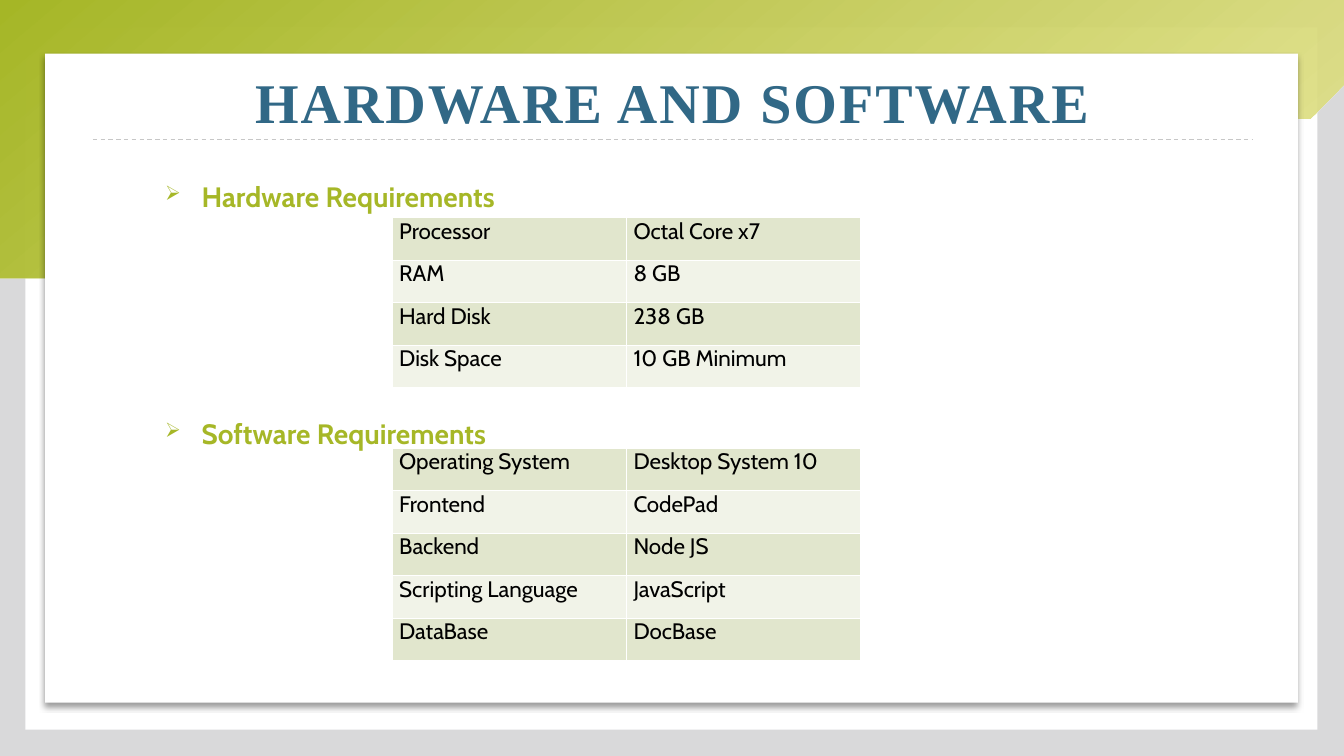
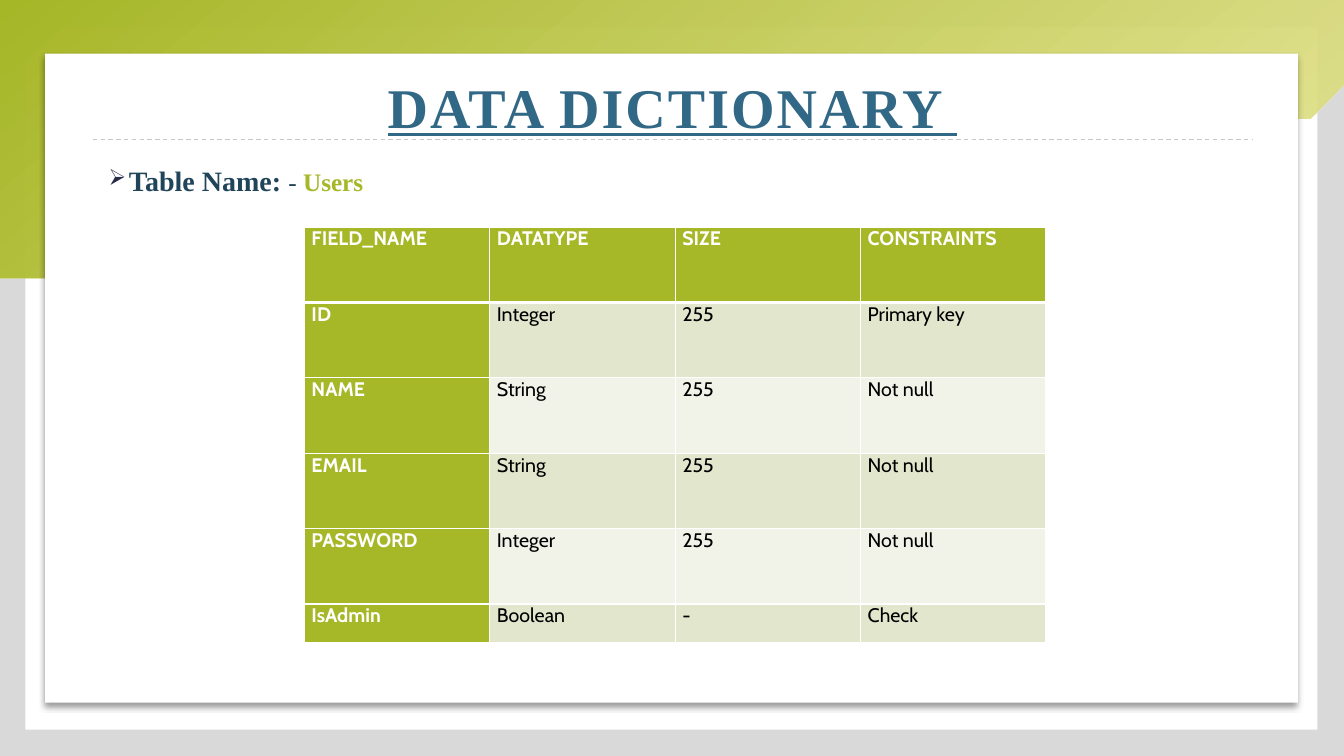
"""Build two project slides: system requirements and a data dictionary."""
from dataclasses import dataclass

from lxml.etree import SubElement
from pptx import Presentation
from pptx.dml.color import RGBColor
from pptx.enum.dml import MSO_LINE
from pptx.enum.shapes import MSO_CONNECTOR, MSO_SHAPE
from pptx.enum.text import MSO_ANCHOR, PP_ALIGN
from pptx.oxml.ns import qn
from pptx.util import Cm, Pt


@dataclass(frozen=True)
class Theme:
    back: str = "D9D9DA"
    white: str = "FFFFFF"
    black: str = "000000"
    lime: str = "A6B727"
    pale: str = "E7E591"
    rule: str = "C7C7C7"
    title: str = "316886"
    label: str = "20455A"
    mark: str = "292C48"
    bands: tuple = ("E1E6CD", "F1F3E8")
    sans: str = "Cabin"
    serif: str = "Times New Roman"
    big: int = 40
    head: int = 20
    sub: int = 18
    cell: int = 16
    small: int = 14


WIDTH, HEIGHT = 33.87, 19.05
START = (0, 6.55)
WAVE = (
    ((3.1, 7.72), (6.76, 7.9), (9.98, 6.96)),
    ((13.46, 5.97), (16.46, 3.84), (20.12, 3.45)),
    ((23.77, 3.07), (27.64, 4.57), (31.17, 3.61)),
    ((32.18, 3.33), (33.2, 2.79), (WIDTH, 2.16)),
)


def rgb(code):
    return RGBColor.from_string(code)


def node(parent, tag, **attrs):
    return SubElement(parent, qn(tag), {k: str(v) for k, v in attrs.items()})


def curve(start, bends, steps=16):
    points = [start]
    for one, two, end in bends:
        first = points[-1]
        for step in range(1, steps + 1):
            t = step / steps
            u = 1 - t
            points.append(tuple(
                u**3 * a + 3 * u * u * t * b + 3 * u * t * t * c + t**3 * d
                for a, b, c, d in zip(first, one, two, end)))
    return points


class Deck:
    def __init__(self, theme):
        self.theme = theme
        self.show = Presentation()
        self.show.slide_width = Cm(WIDTH)
        self.show.slide_height = Cm(HEIGHT)
        self.slide = None

    def page(self, title, top, under=False):
        self.slide = self.show.slides.add_slide(self.show.slide_layouts[6])
        fill = self.slide.background.fill
        fill.solid()
        fill.fore_color.rgb = rgb(self.theme.back)
        self.panel(0.64, 0.69, 32.56, 17.7)
        self.wave()
        card = self.panel(1.14, 1.35, 31.57, 16.36)
        self.shade(card)
        self.rule(2.34, 31.57, 3.51)
        self.title(title, top, under)

    def panel(self, left, top, width, height):
        box = self.slide.shapes.add_shape(
            MSO_SHAPE.RECTANGLE, Cm(left), Cm(top), Cm(width), Cm(height))
        box.shadow.inherit = False
        box.fill.solid()
        box.fill.fore_color.rgb = rgb(self.theme.white)
        box.line.fill.background()
        return box

    def shade(self, shape):
        effects = shape._element.spPr.find(qn("a:effectLst"))
        drop = node(effects, "a:outerShdw", blurRad=Pt(4), dist=Pt(3),
                    dir=90 * 60000, algn="t", rotWithShape=0)
        color = node(drop, "a:srgbClr", val=self.theme.black)
        node(color, "a:alpha", val=40000)

    def wave(self):
        path = self.slide.shapes.build_freeform(0, 0, scale=Cm(1))
        path.add_line_segments(curve(START, WAVE) + [(WIDTH, 0)], close=True)
        shape = path.convert_to_shape()
        shape.shadow.inherit = False
        shape.line.fill.background()
        shape.fill.gradient()
        shape.fill.gradient_angle = 310
        for stop, code in zip(shape.fill.gradient_stops,
                              (self.theme.lime, self.theme.pale)):
            stop.color.rgb = rgb(code)
        colors = list(shape._element.spPr.iter(qn("a:srgbClr")))
        node(colors[-1], "a:alpha", val=90000)

    def rule(self, left, right, top):
        line = self.slide.shapes.add_connector(
            MSO_CONNECTOR.STRAIGHT, Cm(left), Cm(top), Cm(right), Cm(top))
        line.line.color.rgb = rgb(self.theme.rule)
        line.line.width = Pt(0.79)
        line.line.dash_style = MSO_LINE.DASH
        node(line._element.spPr, "a:effectLst")

    def box(self, left, top, width, height):
        frame = self.slide.shapes.add_textbox(
            Cm(left), Cm(top), Cm(width), Cm(height)).text_frame
        frame.word_wrap = True
        frame.margin_left = frame.margin_right = 0
        frame.margin_top = frame.margin_bottom = 0
        return frame

    def style(self, font, name, size, color, bold=False):
        font.name = name
        font.size = Pt(size)
        font.bold = bold
        font.color.rgb = rgb(color)

    def title(self, text, top, under):
        frame = self.box(2.34, top, 29.21, 1.63)
        frame.vertical_anchor = MSO_ANCHOR.MIDDLE
        para = frame.paragraphs[0]
        para.alignment = PP_ALIGN.CENTER
        run = para.add_run()
        run.text = text
        run._r.get_or_add_rPr().set("spc", "150")
        self.style(para.font, self.theme.serif, self.theme.big,
                   self.theme.title, True)
        para.font.underline = under

    def bullet(self, para, color, hang, scale):
        props = para._p.get_or_add_pPr()
        props.set("marL", str(Cm(hang)))
        props.set("indent", str(-Cm(hang)))
        node(node(props, "a:buClr"), "a:srgbClr", val=color)
        node(props, "a:buSzPct", val=scale * 1000)
        node(props, "a:buChar", char="➢")

    def head(self, text, top):
        para = self.box(4.16, top, 20, 0.9).paragraphs[0]
        self.bullet(para, self.theme.lime, 0.92, 72)
        para.add_run().text = text
        self.style(para.font, self.theme.sans, self.theme.head,
                   self.theme.lime, True)

    def label(self, parts, top):
        para = self.box(2.74, top, 20, 0.9).paragraphs[0]
        self.bullet(para, self.theme.mark, 0.51, 80)
        for text, size, color, bold in parts:
            run = para.add_run()
            run.text = text
            self.style(run.font, self.theme.serif, size, color, bold)

    def edge(self, cell, top=1, bottom=1):
        props = cell._tc.get_or_add_tcPr()
        for side, width in (("L", 1), ("R", 1), ("T", top), ("B", bottom)):
            line = node(props, f"a:ln{side}", w=Pt(width))
            node(node(line, "a:solidFill"), "a:srgbClr",
                 val=self.theme.white)

    def table(self, rows, place, width, heights, size, keyed=False):
        left, top = place
        count = len(rows[0])
        table = self.slide.shapes.add_table(
            len(rows), count, Cm(left), Cm(top), Cm(width),
            Cm(sum(heights))).table
        table.first_row = table.first_col = keyed
        table.horz_banding = False
        for col in table.columns:
            col.width = Cm(width / count)
        for r, (texts, height) in enumerate(zip(rows, heights)):
            table.rows[r].height = Cm(height)
            for c, text in enumerate(texts):
                key = keyed and (r == 0 or c == 0)
                band = self.theme.bands[(r - keyed) % 2]
                cell = table.cell(r, c)
                cell.margin_left = cell.margin_right = Cm(0.18)
                cell.margin_top = cell.margin_bottom = 0
                self.edge(cell, 3 if keyed and r == 1 else 1,
                          3 if keyed and r == 0 else 1)
                cell.fill.solid()
                cell.fill.fore_color.rgb = rgb(
                    self.theme.lime if key else band)
                cell.text = text
                self.style(cell.text_frame.paragraphs[0].font,
                           self.theme.sans, size,
                           self.theme.white if key else self.theme.black,
                           key)


HARD = (
    ("Processor", "Octal Core x7"),
    ("RAM", "8 GB"),
    ("Hard Disk", "238 GB"),
    ("Disk Space", "10 GB Minimum"),
)
SOFT = (
    ("Operating System", "Desktop System 10"),
    ("Frontend", "CodePad"),
    ("Backend", "Node JS"),
    ("Scripting Language", "JavaScript"),
    ("DataBase", "DocBase"),
)
USERS = (
    ("FIELD_NAME", "DATATYPE", "SIZE", "CONSTRAINTS"),
    ("ID", "Integer", "255", "Primary key"),
    ("NAME", "String", "255", "Not null"),
    ("EMAIL", "String", "255", "Not null"),
    ("PASSWORD", "Integer", "255", "Not null"),
    ("IsAdmin", "Boolean", "-", "Check"),
)


def main():
    theme = Theme()
    deck = Deck(theme)

    deck.page("HARDWARE AND SOFTWARE", 1.73)
    for text, top, rows, start in (
            ("Hardware Requirements", 4.52, HARD, 5.49),
            ("Software Requirements", 10.49, SOFT, 11.3)):
        deck.head(text, top)
        deck.table(rows, (9.88, start), 11.81, [1.07] * len(rows),
                   theme.cell)

    deck.page("DATA DICTIONARY ", 1.85, under=True)
    deck.label((
        ("Table Name: ", theme.head, theme.label, True),
        ("- ", theme.sub, theme.label, False),
        ("Users", theme.sub, theme.lime, True),
    ), 4.11)
    deck.table(USERS, (7.67, 5.72), 18.69, [1.9] * 5 + [0.97],
               theme.small, keyed=True)

    deck.show.save("out.pptx")


if __name__ == "__main__":
    main()
